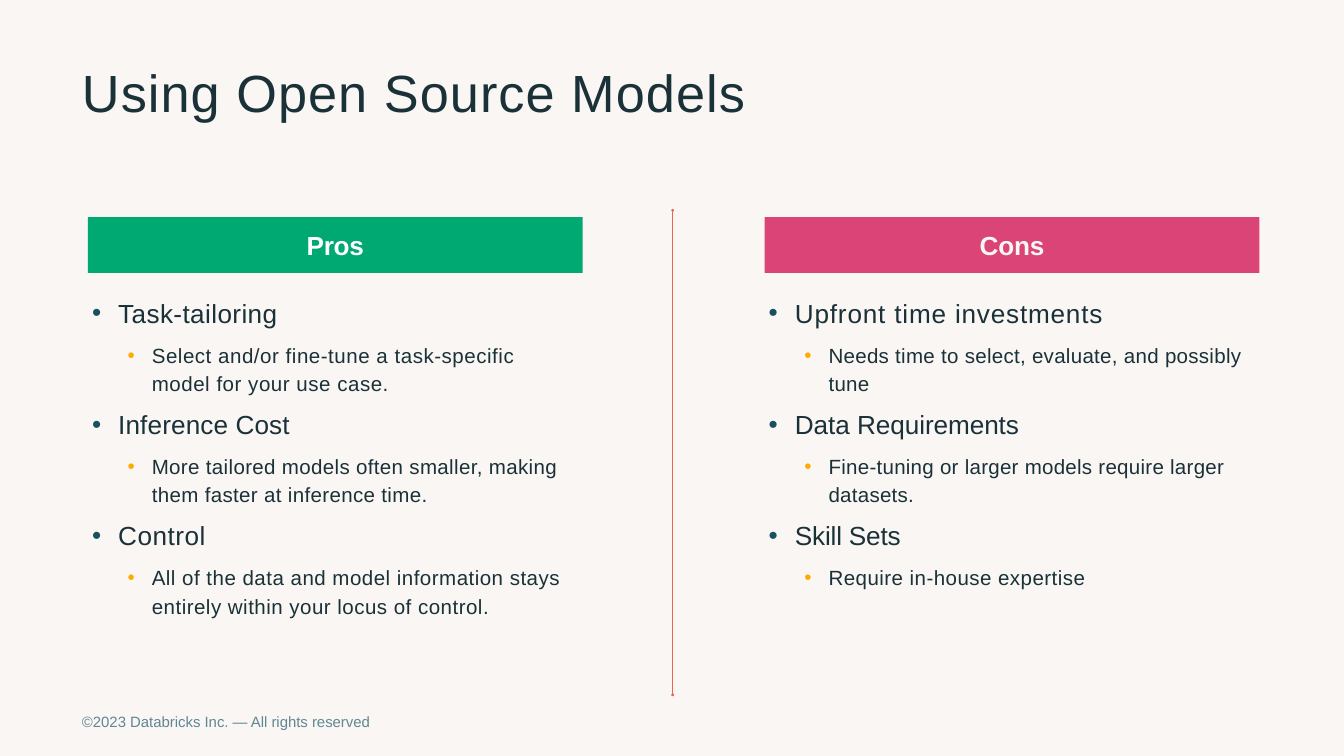
from dataclasses import dataclass

from lxml.etree import SubElement
from pptx import Presentation
from pptx.dml.color import RGBColor as Rgb
from pptx.enum.shapes import MSO_CONNECTOR as Link, MSO_SHAPE as Kind
from pptx.enum.text import MSO_ANCHOR as Anchor, PP_ALIGN as Align
from pptx.oxml.ns import qn
from pptx.shapes.autoshape import Shape
from pptx.slide import Slide
from pptx.util import Inches, Pt


@dataclass(frozen=True)
class Theme:
    font: str = "Arial"
    paper: str = "F9F6F4"
    white: str = "FFFFFF"
    ink: str = "1A3138"
    muted: str = "608793"
    rule: str = "EF644F"
    green: str = "00A872"
    pink: str = "DA4477"
    title: float = 56
    head: float = 28
    note: float = 16


@dataclass(frozen=True)
class Level:
    size: float
    dot: str
    left: float
    hang: float
    before: float
    lines: float


@dataclass(frozen=True)
class Item:
    text: str
    track: float  # letter spacing in points
    level: int = 0


@dataclass(frozen=True)
class Column:
    left: float
    head: str
    fill: str
    color: str
    items: tuple[Item, ...]


THEME = Theme()
LEVELS = (
    Level(28, "1A5062", 0.4, 0.39, 13.7, 1),
    Level(22, "FFAA00", 0.9, 0.36, 11.3, 1.15),
)
COLUMNS = (
    Column(1.31, "Pros", THEME.green, THEME.white, (
        Item("Task-tailoring", 0.45),
        Item("Select and/or fine-tune a task-specific model for your use case.", 0.6, 1),
        Item("Inference Cost", 0.17),
        Item("More tailored models often smaller, making them faster at inference time.", 0.4, 1),
        Item("Control", 0.6),
        Item("All of the data and model information stays entirely within your locus of control.",
             0.55, 1),
    )),
    Column(11.38, "Cons", THEME.pink, THEME.paper, (
        Item("Upfront time investments", 0.9),
        Item("Needs time to select, evaluate, and possibly tune", 0.35, 1),
        Item("Data Requirements", -0.07),
        Item("Fine-tuning or larger models require larger datasets.", 0.3, 1),
        Item("Skill Sets", -0.2),
        Item("Require in-house expertise", 0.5, 1),
    )),
)


def style(para, size: float, color: str, track: float = 0, bold: bool = False) -> None:
    for run in para.runs:
        font = run.font
        font.name, font.size, font.bold = THEME.font, Pt(size), bold
        font.color.rgb = Rgb.from_string(color)
        font._element.set("spc", str(round(track * 100)))


def add_box(slide: Slide, left: float, top: float, width: float, height: float,
            inset: float = 0) -> Shape:
    box = slide.shapes.add_textbox(Inches(left), Inches(top), Inches(width), Inches(height))
    frame = box.text_frame
    frame.word_wrap = True
    frame.margin_left = frame.margin_right = frame.margin_bottom = 0
    frame.margin_top = Inches(inset)
    return box


def add_shape(slide: Slide, kind: Kind, left: float, top: float, width: float,
              height: float, fill: str) -> Shape:
    shape = slide.shapes.add_shape(
        kind, Inches(left), Inches(top), Inches(width), Inches(height))
    shape.shadow.inherit = False
    shape.fill.solid()
    shape.fill.fore_color.rgb = Rgb.from_string(fill)
    shape.line.fill.background()
    return shape


def add_bullet(para, level: Level) -> None:
    props = para._p.get_or_add_pPr()
    props.set("marL", str(Inches(level.left)))
    props.set("indent", str(-Inches(level.hang)))
    color = SubElement(props, qn("a:buClr"))
    SubElement(color, qn("a:srgbClr"), val=level.dot)
    SubElement(props, qn("a:buFont"), typeface=THEME.font)
    SubElement(props, qn("a:buChar"), char="•")


def add_column(slide: Slide, col: Column) -> None:
    # Header bar
    bar = add_shape(slide, Kind.RECTANGLE, col.left, 3.23, 7.36, 0.83, col.fill)
    frame = bar.text_frame
    frame.margin_top = frame.margin_bottom = 0
    frame.vertical_anchor = Anchor.MIDDLE
    frame.text = col.head
    para = frame.paragraphs[0]
    para.alignment = Align.CENTER
    style(para, THEME.head, col.color, -0.2, True)

    # Bulleted list
    frame = add_box(slide, col.left + 0.05, 4.12, 7.13, 5.08, 0.3).text_frame
    frame.text = "\n".join(item.text for item in col.items)
    for i, (para, item) in enumerate(zip(frame.paragraphs, col.items)):
        level = LEVELS[item.level]
        para.level = item.level
        add_bullet(para, level)
        para.line_spacing = level.lines
        para.space_before = Pt(level.before if i else 0)
        style(para, level.size, THEME.ink, item.track)


def add_rule(slide: Slide, x: float, top: float, bottom: float) -> None:
    line = slide.shapes.add_connector(
        Link.STRAIGHT, Inches(x), Inches(top), Inches(x), Inches(bottom))
    line.line.color.rgb = Rgb.from_string(THEME.rule)
    line.line.width = Pt(0.75)
    SubElement(line._element.spPr, qn("a:effectLst"))
    size = 0.04
    for y in (top, bottom):
        add_shape(slide, Kind.OVAL, x - size / 2, y - size / 2, size, size, THEME.rule)


def main() -> None:
    deck = Presentation()
    deck.slide_width, deck.slide_height = Inches(20), Inches(11.25)
    slide = deck.slides.add_slide(deck.slide_layouts[6])
    back = slide.background.fill
    back.solid()
    back.fore_color.rgb = Rgb.from_string(THEME.paper)

    # Divider
    add_rule(slide, 10.01, 3.13, 10.34)

    # Title and footer
    title = add_box(slide, 1.22, 0.67, 17.57, 1.8, 0.22).text_frame
    title.text = "Using Open Source Models"
    style(title.paragraphs[0], THEME.title, THEME.ink, 1.13)
    foot = add_box(slide, 1.22, 10.59, 4.47, 0.32, 0.01).text_frame
    foot.text = "©2023 Databricks Inc. — All rights reserved"
    style(foot.paragraphs[0], THEME.note, THEME.muted)

    # Pros and cons
    for col in COLUMNS:
        add_column(slide, col)

    deck.save("out.pptx")


if __name__ == "__main__":
    main()
